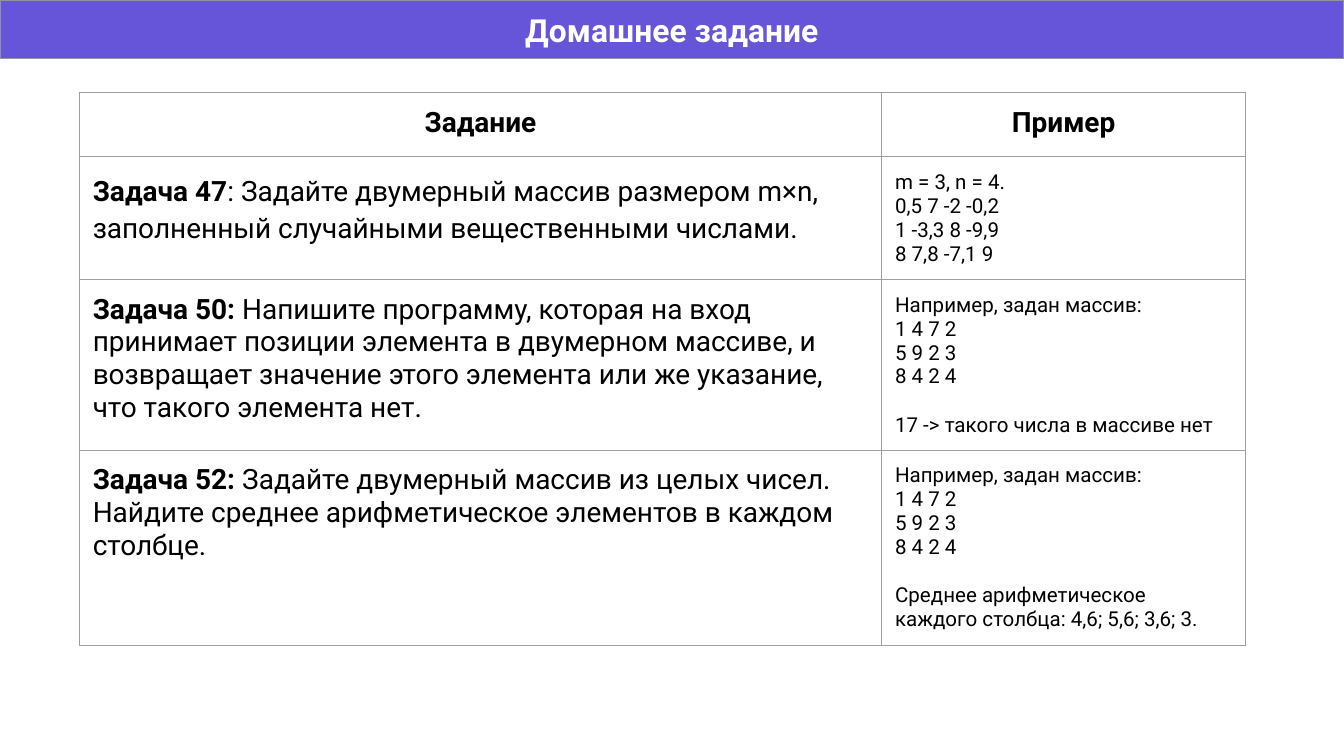
"""Build the homework slide: a title band and a table of tasks with examples."""
from lxml.etree import SubElement
from pptx import Presentation
from pptx.dml.color import RGBColor
from pptx.enum.text import MSO_ANCHOR, MSO_AUTO_SIZE, PP_ALIGN
from pptx.oxml.ns import qn
from pptx.util import Pt

COLORS = {"band": "6654D9", "band_line": "8F93A3", "grid": "9E9E9E",
          "text": "000000", "title": "FFFFFF"}
INSET = 7.2
TASK_SIZE, EXAMPLE_SIZE = 15, 11
EXAMPLE_GAP = 12.9

HEADINGS = ["Задание", "Пример"]
ARRAY_LINES = ["Например, задан массив:", "1 4 7 2", "5 9 2 3", "8 4 2 4"]
TASKS = [
    ("Задача 47",
     ": Задайте двумерный массив размером m×n, заполненный случайными вещественными числами.",
     ["m = 3, n = 4.", "0,5 7 -2 -0,2", "1 -3,3 8 -9,9", "8 7,8 -7,1 9"], None),
    ("Задача 50:",
     " Напишите программу, которая на вход принимает позиции элемента в двумерном массиве, "
     "и возвращает значение этого элемента или же указание, что такого элемента нет.",
     ARRAY_LINES, "17 -> такого числа в массиве нет"),
    ("Задача 52: ",
     "Задайте двумерный массив из целых чисел. Найдите среднее арифметическое элементов "
     "в каждом столбце.",
     ARRAY_LINES, "Среднее арифметическое каждого столбца: 4,6; 5,6; 3,6; 3."),
]


class HomeworkSlide:
    def __init__(self, slide, font="Roboto"):
        self.slide = slide
        self.font = font

    def color(self, key):
        return RGBColor.from_string(COLORS[key])

    def style(self, paragraph, size, color="text", bold=False):
        for run in paragraph.runs:
            run.font.name = self.font
            run.font.size = Pt(size)
            run.font.bold = bold
            run.font.color.rgb = self.color(color)

    def title(self, text, width, height):
        band = self.slide.shapes.title
        band.left, band.top, band.width, band.height = Pt(0), Pt(0), Pt(width), Pt(height)
        band.fill.solid()
        band.fill.fore_color.rgb = self.color("band")
        band.line.color.rgb = self.color("band_line")
        band.line.width = Pt(0.75)
        frame = band.text_frame
        frame.text = text
        frame.word_wrap = True
        frame.auto_size = MSO_AUTO_SIZE.NONE
        frame.vertical_anchor = MSO_ANCHOR.MIDDLE
        frame.margin_left = frame.margin_right = Pt(INSET)
        frame.margin_top = frame.margin_bottom = Pt(INSET)
        heading = frame.paragraphs[0]
        heading.alignment = PP_ALIGN.CENTER
        self.style(heading, 17, "title", bold=True)

    def table(self, left, top, widths, heights):
        grid = self.slide.shapes.add_table(
            len(heights), len(widths), Pt(left), Pt(top),
            Pt(sum(widths)), Pt(sum(heights))).table
        grid.first_row = grid.horz_banding = False
        for column, width in zip(grid.columns, widths):
            column.width = Pt(width)
        for row, height in zip(grid.rows, heights):
            row.height = Pt(height)
        for cell in grid.iter_cells():
            cell.margin_left = cell.margin_right = Pt(INSET)
            cell.margin_top = cell.margin_bottom = Pt(INSET)
            self.borders(cell)
            cell.fill.background()
        return grid

    def borders(self, cell):
        properties = cell._tc.get_or_add_tcPr()
        for side in ("a:lnL", "a:lnR", "a:lnT", "a:lnB"):
            edge = SubElement(properties, qn(side), w=str(Pt(0.75)))
            fill = SubElement(edge, qn("a:solidFill"))
            SubElement(fill, qn("a:srgbClr"), val=COLORS["grid"])

    def heading(self, cell, text):
        cell.text_frame.text = text
        paragraph = cell.text_frame.paragraphs[0]
        paragraph.alignment = PP_ALIGN.CENTER
        self.style(paragraph, TASK_SIZE, bold=True)

    def task(self, cell, label, statement):
        paragraph = cell.text_frame.paragraphs[0]
        paragraph.text = label
        paragraph.add_run().text = statement
        self.style(paragraph, TASK_SIZE)
        paragraph.runs[0].font.bold = True
        return paragraph

    def example(self, cell, lines, result):
        frame = cell.text_frame
        frame.text = "\n".join(lines)
        if result:
            outcome = frame.add_paragraph()
            outcome.text = result
            outcome.space_before = Pt(EXAMPLE_GAP)
        for paragraph in frame.paragraphs:
            self.style(paragraph, EXAMPLE_SIZE)


def main():
    deck = Presentation()
    deck.slide_width, deck.slide_height = Pt(720), Pt(405)
    homework = HomeworkSlide(deck.slides.add_slide(deck.slide_layouts[5]))
    homework.title("Домашнее задание", 720, 31.5)

    grid = homework.table(42.5, 49.7, [429.8, 195.1], [34.3, 65.4, 91.3, 104.5])
    for column, text in enumerate(HEADINGS):
        homework.heading(grid.cell(0, column), text)
    statements = []
    for row, (label, statement, lines, result) in enumerate(TASKS, start=1):
        statements.append(homework.task(grid.cell(row, 0), label, statement))
        homework.example(grid.cell(row, 1), lines, result)
    statements[0].line_spacing = 1.15
    statements[0].space_before = statements[0].space_after = Pt(12)

    deck.save("out.pptx")


if __name__ == "__main__":
    main()
